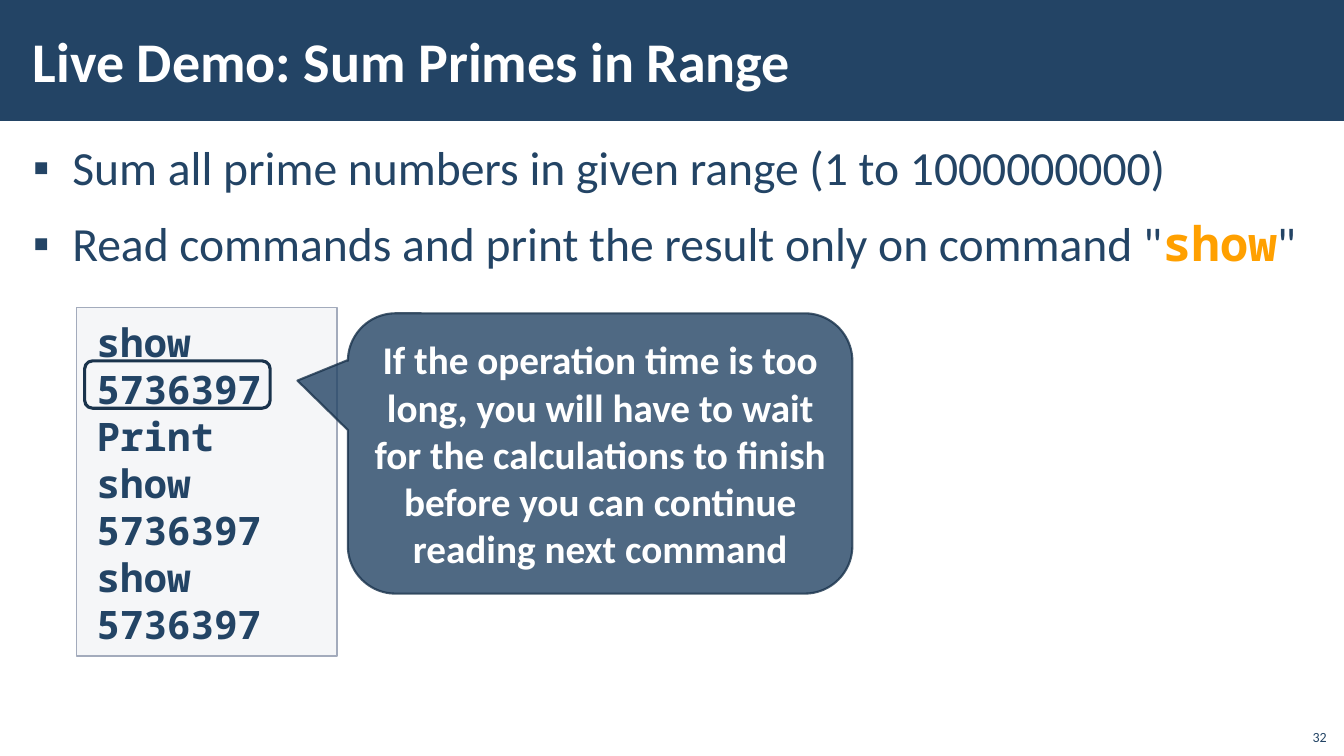
"""Builds the slide on summing primes in a range."""
from lxml import etree
from pptx import Presentation
from pptx.dml.color import RGBColor
from pptx.enum import shapes, text
from pptx.oxml import ns
from pptx.util import Pt

NAVY = RGBColor(0x23, 0x44, 0x65)
DARK = RGBColor(0x1A, 0x33, 0x4C)
WHITE = RGBColor(0xFF, 0xFF, 0xFF)
ORANGE = RGBColor(0xFF, 0xA0, 0x00)
PALE = RGBColor(0xC2, 0xC7, 0xD2)
GREY = RGBColor(0xA3, 0xAB, 0xBC)
SANS, MONO = "Calibri", "Noto Sans Mono"

TITLE = "Live Demo: Sum Primes in Range"
POINTS = [
    ["Sum all prime numbers in given range (1 to 1000000000)"],
    ["Read commands and print the result only on command \"", "show", "\""],
]
CODE = ["show", "5736397", "Print", "show", "5736397", "show", "5736397"]
NOTE = ("If the operation time is too long, you will have to wait for the "
        "calculations to finish before you can continue reading next command")
NUMBER = "32"


def place(shape, *box):
    """Set the left, top, width and height in points."""
    shape.left, shape.top, shape.width, shape.height = map(Pt, box)


def style(run, size, color, bold=False, face=SANS):
    """Set the font of a run."""
    font = run.font
    font.name, font.size, font.bold = face, Pt(size), bold
    font.color.rgb = color


def setup(frame, anchor, side, edge):
    """Set wrapping, anchor and insets of a text frame."""
    frame.word_wrap = True
    frame.auto_size = text.MSO_AUTO_SIZE.NONE
    frame.vertical_anchor = anchor
    frame.margin_left = frame.margin_right = Pt(side)
    frame.margin_top = frame.margin_bottom = Pt(edge)


def indent(par, left, first):
    """Set the left margin and first-line indent in points."""
    props = par._p.get_or_add_pPr()
    props.set("marL", str(Pt(left)))
    props.set("indent", str(Pt(first)))
    return props


def fade(fill, share):
    """Make a solid fill partly opaque, by a share in percent."""
    color = fill._xPr.find(ns.qn("a:solidFill"))[0]
    etree.SubElement(color, ns.qn("a:alpha")).set("val", str(share * 1000))


def draw(slide, kind, box, fill=None, line=None, width=1, share=100):
    """Add a preset shape with its fill and outline."""
    shape = slide.shapes.add_shape(kind, *map(Pt, box))
    shape.shadow.inherit = False
    if fill is None:
        shape.fill.background()
    else:
        shape.fill.solid()
        shape.fill.fore_color.rgb = fill
        fade(shape.fill, share)
    if line is None:
        shape.line.fill.background()
    else:
        shape.line.color.rgb = line
        shape.line.width = Pt(width)
    return shape


def main():
    """Build and save the slide."""
    deck = Presentation()
    deck.slide_width, deck.slide_height = Pt(960), Pt(540)
    slide = deck.slides.add_slide(deck.slide_layouts[1])
    kinds = shapes.MSO_SHAPE
    top, middle, bottom = (text.MSO_ANCHOR.TOP, text.MSO_ANCHOR.MIDDLE,
                           text.MSO_ANCHOR.BOTTOM)
    align = text.PP_ALIGN

    bar = draw(slide, kinds.RECTANGLE, (0, 0, 960, 86.4), NAVY)
    slide.shapes._spTree.insert(2, bar._element)

    title = slide.shapes.title
    place(title, 15, 8, 765, 70)
    frame = title.text_frame
    frame.text = TITLE
    setup(frame, middle, 8.5, 2.9)
    frame.paragraphs[0].alignment = align.LEFT
    style(frame.paragraphs[0].runs[0], 40, WHITE, True)

    body = slide.placeholders[1]
    place(body, 15, 94.3, 930, 438)
    frame = body.text_frame
    setup(frame, top, 8.5, 2.9)
    for i, parts in enumerate(POINTS):
        par = frame.add_paragraph() if i else frame.paragraphs[0]
        par.line_spacing = Pt(42.3)
        par.space_before = par.space_after = Pt(6)
        props = indent(par, 28.2, -28.2)
        etree.SubElement(props, ns.qn("a:buChar")).set("char", "▪")
        for j, part in enumerate(parts):
            run = par.add_run()
            run.text = part
            if j == 1:
                style(run, 34, ORANGE, True, MONO)
            else:
                style(run, 34, NAVY)

    code = draw(slide, kinds.RECTANGLE, (54.7, 219.6, 186, 249),
                PALE, GREY, 1, 15)
    frame = code.text_frame
    frame.text = "\n".join(CODE)
    setup(frame, top, 0, 8)
    for par in frame.paragraphs:
        indent(par, 14.4, 0)
        par.alignment = align.LEFT
        par.line_spacing = Pt(33.6)
        style(par.runs[0], 28, NAVY, True, MONO)

    note = draw(slide, kinds.ROUNDED_RECTANGULAR_CALLOUT,
                (248.5, 223.8, 360.3, 200.2), NAVY, DARK, 1.5, 80)
    fade(note.line.fill, 80)
    for i, value in enumerate((-0.6, -0.26, 0.17)):
        note.adjustments[i] = value
    frame = note.text_frame
    frame.text = NOTE
    setup(frame, middle, 7.2, 3.6)
    frame.paragraphs[0].alignment = align.CENTER
    style(frame.paragraphs[0].runs[0], 28, WHITE, True)

    draw(slide, kinds.ROUNDED_RECTANGLE, (60.5, 257.8, 132.5, 33.8),
         None, DARK, 2.25)

    page = slide.shapes.add_textbox(*map(Pt, (926, 512.6, 28.8, 23)))
    frame = page.text_frame
    frame.text = NUMBER
    setup(frame, bottom, 7.2, 3.6)
    frame.paragraphs[0].alignment = align.RIGHT
    style(frame.paragraphs[0].runs[0], 10, NAVY)

    deck.save("out.pptx")


if __name__ == "__main__":
    main()
